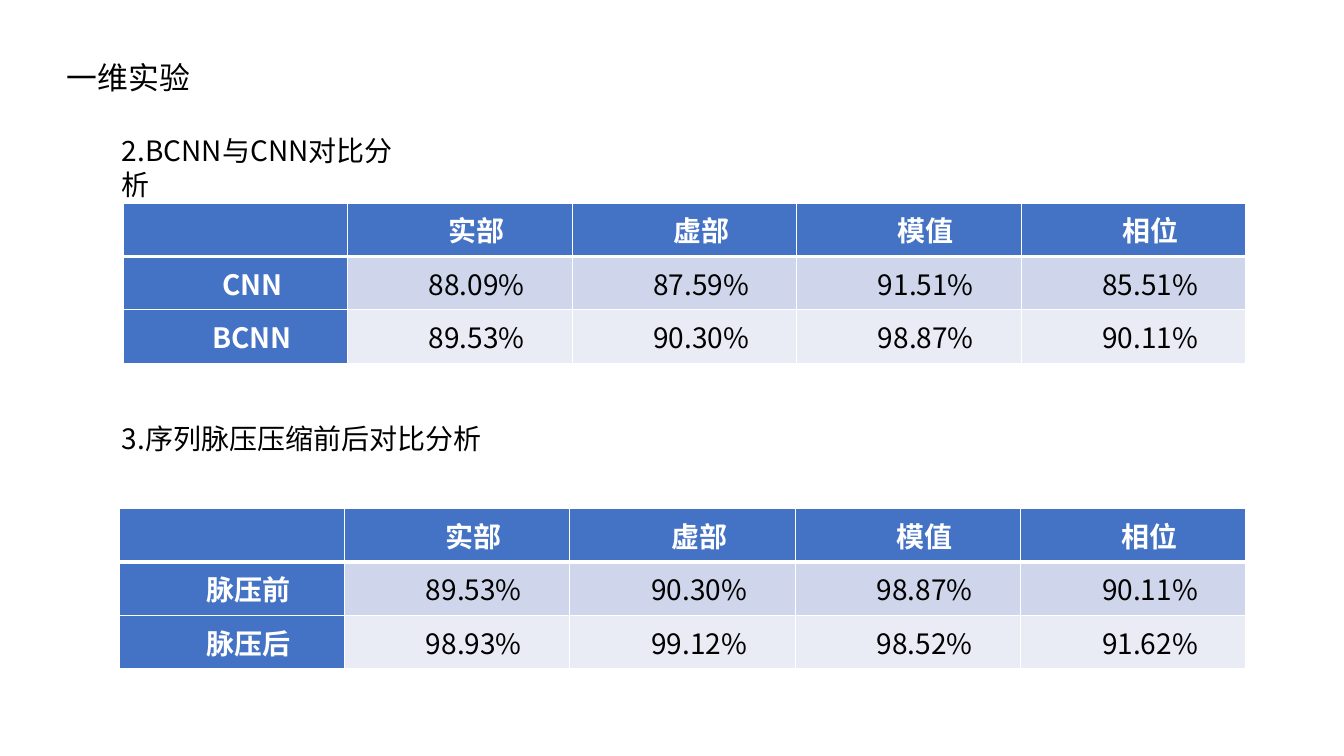
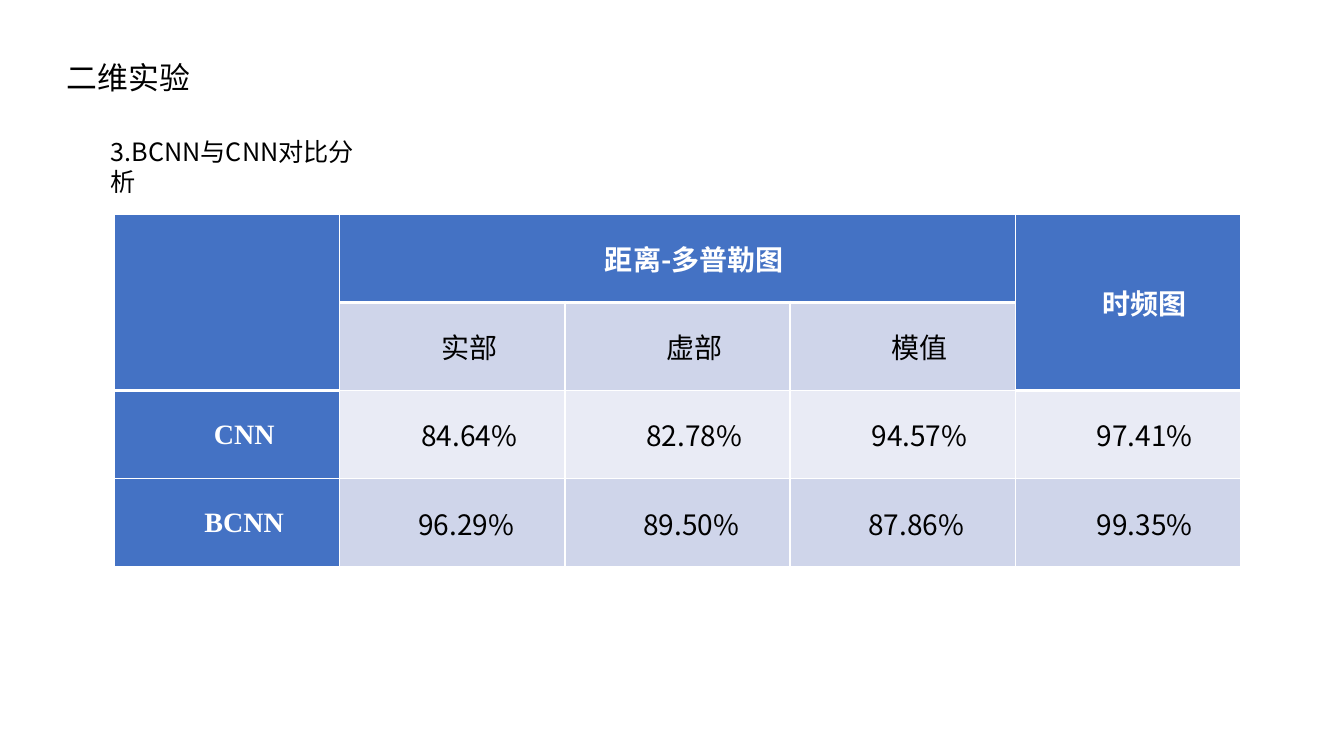
import dataclasses
import pptx
import pptx.dml.color
import pptx.enum.text
import pptx.oxml.ns
import pptx.util
from lxml import etree

Pt = pptx.util.Pt
RGB = pptx.dml.color.RGBColor.from_string
ALIGN = pptx.enum.text.PP_ALIGN
ANCHOR = pptx.enum.text.MSO_ANCHOR
qn = pptx.oxml.ns.qn


# Theme: colours, fonts and type sizes
@dataclasses.dataclass(frozen=True)
class Theme:
    ink: str = "000000"
    white: str = "FFFFFF"
    blue: str = "4472C4"
    bands: tuple = ("E9EBF5", "CFD5EA")
    sans: str = "Noto Sans CJK SC"
    serif: str = "Times New Roman"
    title: int = 22
    head: int = 20
    small: int = 18
    cell: int = 20


theme = Theme()


def write(frame, text, size=theme.head, color=theme.ink, bold=False,
          font=theme.sans, align=ALIGN.LEFT, indent=0):
    """Put one formatted paragraph into a text frame."""
    para = frame.paragraphs[0]
    para.alignment = align
    props = para._p.get_or_add_pPr()
    props.set("marL", "0")
    props.set("indent", str(Pt(indent)))
    run = para.add_run()
    run.text = text
    run.font.size = Pt(size)
    run.font.bold = bold
    run.font.name = font
    run.font.color.rgb = RGB(color)
    east = etree.SubElement(run._r.get_or_add_rPr(), qn("a:ea"))
    east.set("typeface", font)


def edge(cell, sides):
    """Draw white cell borders; sides maps a tag to a width in points."""
    props = cell._tc.get_or_add_tcPr()
    for spot, (side, width) in enumerate(sides.items()):
        line = etree.Element(qn("a:" + side), w=str(Pt(width)))
        fill = etree.SubElement(line, qn("a:solidFill"))
        etree.SubElement(fill, qn("a:srgbClr"), val=theme.white)
        props.insert(spot, line)


# Content: boxes are left, top, width, height
parts = ["", "实部", "虚部", "模值", "相位"]
pages = [
    dict(
        title="一维实验",
        heads=[("2.BCNN与CNN对比分析", (80, 92, 217, 32), theme.head),
               ("3.序列脉压压缩前后对比分析", (80, 297.5, 287, 32), theme.head)],
        grids=[
            dict(at=(88, 145), width=802, row=38.2, face=theme.sans, spans=[],
                 rows=[parts,
                       ["CNN", "88.09%", "87.59%", "91.51%", "85.51%"],
                       ["BCNN", "89.53%", "90.30%", "98.87%", "90.11%"]]),
            dict(at=(85, 363), width=805, row=38.2, face=theme.sans, spans=[],
                 rows=[parts,
                       ["脉压前", "89.53%", "90.30%", "98.87%", "90.11%"],
                       ["脉压后", "98.93%", "99.12%", "98.52%", "91.62%"]]),
        ]),
    dict(
        title="二维实验",
        heads=[("3.BCNN与CNN对比分析", (72, 93.5, 188, 29), theme.small)],
        grids=[
            dict(at=(82, 153), width=804, row=63, face=theme.serif,
                 spans=[(0, 0, 1, 0), (0, 1, 0, 3), (0, 4, 1, 4)],
                 rows=[["", "距离-多普勒图", "", "", "时频图"],
                       ["", "实部", "虚部", "模值", ""],
                       ["CNN", "84.64%", "82.78%", "94.57%", "97.41%"],
                       ["BCNN", "96.29% ", "89.50% ", "87.86% ", "99.35%"]]),
        ]),
]

deck = pptx.Presentation()
deck.slide_width, deck.slide_height = Pt(960), Pt(540)

for page in pages:
    slide = deck.slides.add_slide(deck.slide_layouts[5])

    # Title
    title = slide.shapes.title
    title.left, title.top, title.width, title.height = map(
        Pt, (40.5, 38, 241, 34))
    title.text_frame.vertical_anchor = ANCHOR.MIDDLE
    write(title.text_frame, page["title"], size=theme.title)

    # Section headings
    for text, box, size in page["heads"]:
        frame = slide.shapes.add_textbox(*map(Pt, box)).text_frame
        frame.word_wrap = True
        write(frame, text, size=size)

    # Tables
    for grid in page["grids"]:
        rows = grid["rows"]
        count = len(rows[0])
        table = slide.shapes.add_table(
            len(rows), count, *map(Pt, grid["at"]), Pt(grid["width"]),
            Pt(grid["row"] * len(rows))).table
        table.first_col = True
        for col in table.columns:
            col.width = Pt(grid["width"] / count)
        for row in table.rows:
            row.height = Pt(grid["row"])
        for top, left, low, right in grid["spans"]:
            table.cell(top, left).merge(table.cell(low, right))

        for r, row in enumerate(rows):
            for c, text in enumerate(row):
                cell = table.cell(r, c)
                header = r == 0 or cell.is_spanned
                strong = header or c == 0
                cell.fill.solid()
                cell.fill.fore_color.rgb = RGB(
                    theme.blue if strong else theme.bands[r % 2])
                sides = dict(lnL=1, lnR=1)
                if header:
                    sides.update(lnT=1, lnB=3)
                else:
                    sides.update(lnB=1)
                edge(cell, sides)
                cell.vertical_anchor = ANCHOR.MIDDLE
                cell.margin_left = cell.margin_right = Pt(5.4)
                cell.margin_top = cell.margin_bottom = Pt(0)
                if text:
                    write(cell.text_frame, text, size=theme.cell, bold=strong,
                          color=theme.white if strong else theme.ink,
                          font=grid["face"] if c == 0 else theme.sans,
                          align=ALIGN.CENTER, indent=24)

deck.save("out.pptx")
